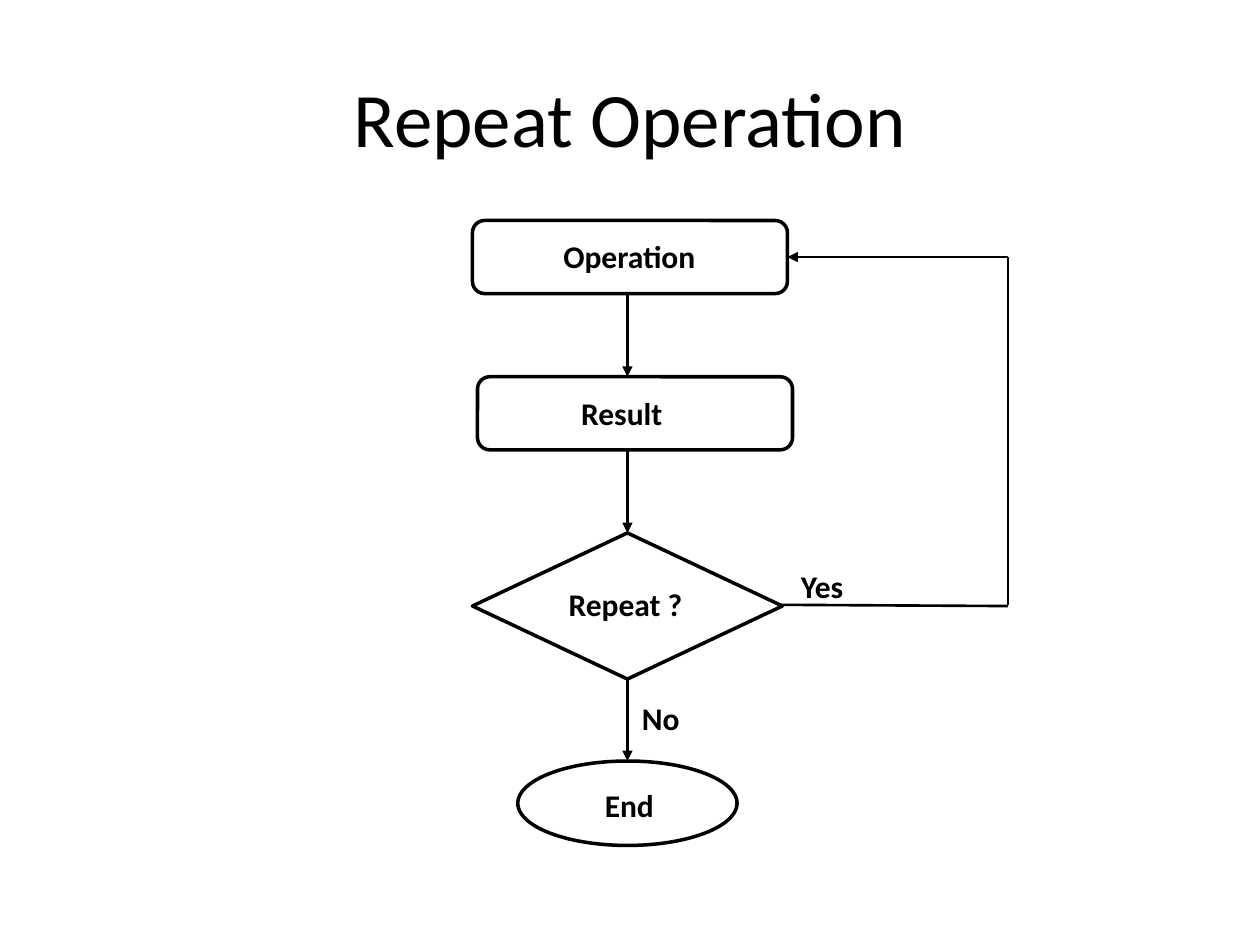
from lxml.etree import SubElement
from pptx import Presentation
from pptx.dml.color import RGBColor
from pptx.enum.shapes import MSO_CONNECTOR, MSO_SHAPE
from pptx.enum.text import MSO_ANCHOR, PP_ALIGN
from pptx.oxml.ns import qn
from pptx.util import Inches, Pt

BLACK = RGBColor(0, 0, 0)
WHITE = RGBColor(255, 255, 255)
WIDTH, HEIGHT = 10, 7.5
COLUMNS, ROWS = 100, 75
AXIS, RETURN_COLUMN = 49.8, 80
LABEL_SIZE = (18.3, 4.2)


class FlowSlide:
    title_format = {"name": "Calibri", "size": Pt(44), "bold": False}
    label_format = {"name": "Calibri", "size": Pt(18), "bold": True}

    def __init__(self, presentation):
        self.column = presentation.slide_width / COLUMNS
        self.row = presentation.slide_height / ROWS
        self.slide = presentation.slides.add_slide(presentation.slide_layouts[5])

    def place(self, left, top, width, height):
        return (round(left * self.column), round(top * self.row),
                round(width * self.column), round(height * self.row))

    def set_text(self, shape, text, format_values, anchor):
        frame = shape.text_frame
        frame.word_wrap = True
        frame.vertical_anchor = anchor
        paragraph = frame.paragraphs[0]
        paragraph.alignment = PP_ALIGN.CENTER
        run = paragraph.add_run()
        run.text = text
        for name, value in format_values.items():
            setattr(run.font, name, value)
        run.font.color.rgb = BLACK

    def title(self, text, *box):
        shape = self.slide.shapes.title
        shape.left, shape.top, shape.width, shape.height = self.place(*box)
        self.set_text(shape, text, self.title_format, MSO_ANCHOR.MIDDLE)

    def node(self, kind, *box):
        shape = self.slide.shapes.add_shape(kind, *self.place(*box))
        shape.shadow.inherit = False
        shape.fill.solid()
        shape.fill.fore_color.rgb = WHITE
        shape.line.color.rgb = BLACK
        shape.line.width = Pt(2)

    def label(self, text, left, top):
        shape = self.slide.shapes.add_textbox(*self.place(left, top, *LABEL_SIZE))
        self.set_text(shape, text, self.label_format, MSO_ANCHOR.TOP)

    def line(self, start, end, arrow=False):
        connector = self.slide.shapes.add_connector(
            MSO_CONNECTOR.STRAIGHT, *self.place(*start, *end))
        connector.line.color.rgb = BLACK
        connector.line.width = Pt(1.5)
        properties = connector._element.spPr
        if arrow:
            SubElement(properties.find(qn("a:ln")), qn("a:tailEnd"), type="triangle")
        SubElement(properties, qn("a:effectLst"))


presentation = Presentation()
presentation.slide_width = Inches(WIDTH)
presentation.slide_height = Inches(HEIGHT)
flow = FlowSlide(presentation)
flow.title("Repeat Operation", 5, 3, 90, 12.5)

for kind, *box in [
    (MSO_SHAPE.ROUNDED_RECTANGLE, 37.5, 17.5, 25, 5.8),
    (MSO_SHAPE.ROUNDED_RECTANGLE, 37.9, 29.9, 25, 5.8),
    (MSO_SHAPE.DIAMOND, 37.5, 42.3, 24.6, 11.6),
    (MSO_SHAPE.OVAL, 41.1, 60.4, 17.4, 6.7),
]:
    flow.node(kind, *box)

for text, left, top in [
    ("Operation", 40.8, 18.3),
    ("Result", 40.2, 30.8),
    ("Repeat ?", 40.5, 45.9),
    ("End", 40.8, 61.9),
    ("No", 43.3, 55),
    ("Yes", 56.1, 44.5),
]:
    flow.label(text, left, top)

for top, bottom in [(23.3, 29.9), (35.7, 42.3), (53.8, 60.4)]:
    flow.line((AXIS, top), (AXIS, bottom), arrow=True)

flow.line((61.7, 48), (RETURN_COLUMN, 48.1))
flow.line((RETURN_COLUMN, 48), (RETURN_COLUMN, 20.4))
flow.line((RETURN_COLUMN, 20.4), (62.5, 20.4), arrow=True)

presentation.save("out.pptx")
